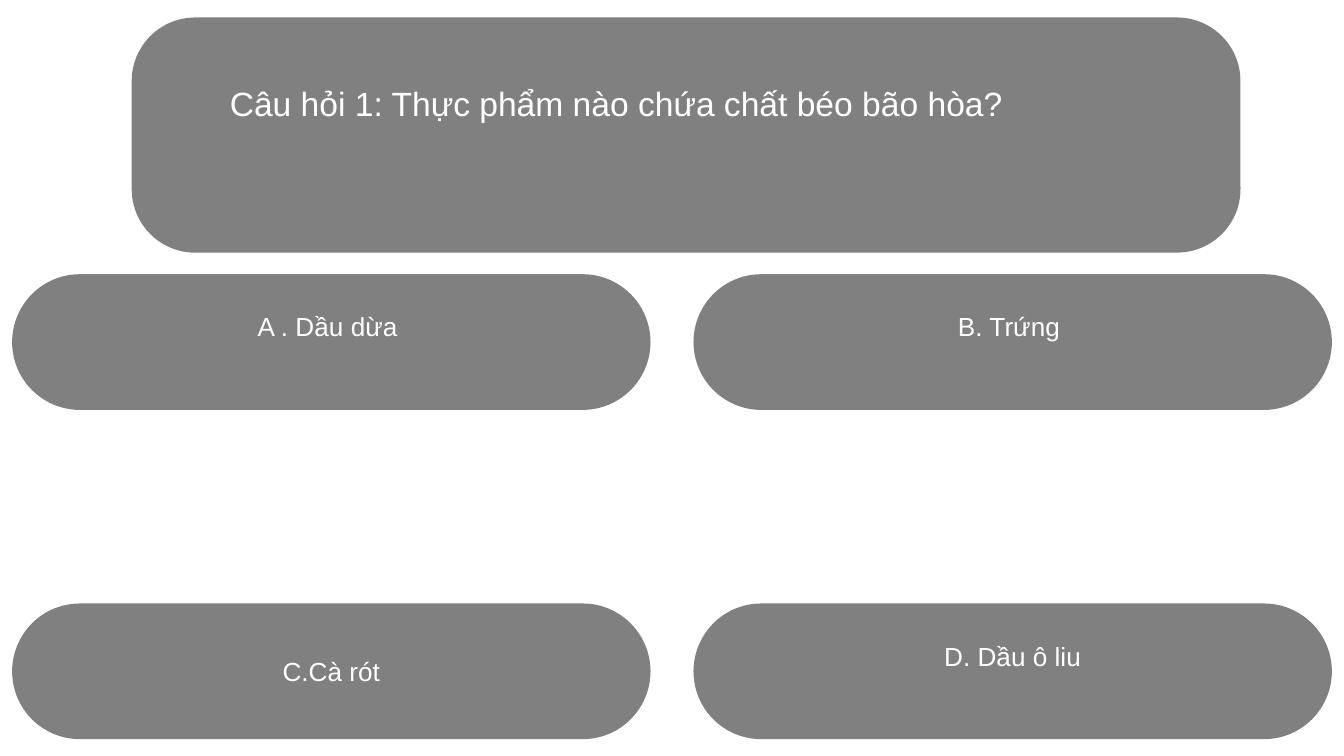
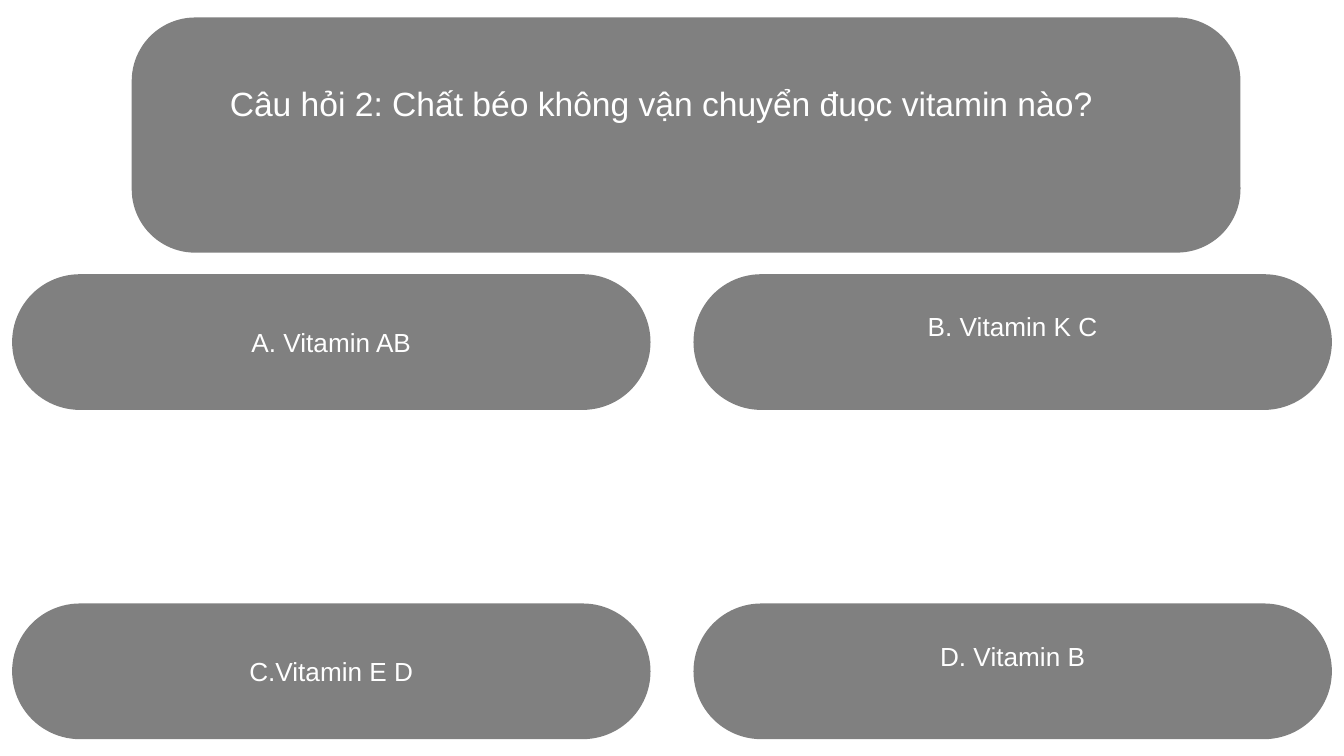
from dataclasses import dataclass

from pptx import Presentation
from pptx import util as u
from pptx.dml.color import RGBColor
from pptx.enum import shapes, text

PX = u.Inches(1) // 200


@dataclass(frozen=True)
class Theme:
    panel: RGBColor = RGBColor(0x80, 0x80, 0x80)
    ink: RGBColor = RGBColor(0xFF, 0xFF, 0xFF)
    font: str = "Arial"
    question_size: int = 18
    answer_size: int = 14


@dataclass(frozen=True)
class Box:
    left: int
    top: int
    width: int
    height: int

    def inside(self, left, top, width, height):
        return Box(self.left + left, self.top + top, width, height)

    def emu(self):
        return [length * PX for length in (self.left, self.top, self.width, self.height)]


THEME = Theme()
SLIDE = Box(0, 0, 2000, 1125)
QUESTION = SLIDE.inside(196, 26, 1650, 350)
ANSWERS = SLIDE.inside(18, 408, 1964, 692)
TITLE_ONLY = 5

QUIZ = [
    (
        "Câu hỏi 1: Thực phẩm nào chứa chất béo bão hòa?",
        [("A . Dầu dừa ", True), ("B. Trứng ", True), ("C.Cà rót", False), ("D. Dầu ô liu", True)],
    ),
    (
        "Câu hỏi 2: Chất béo không vận chuyển đuọc vitamin nào?",
        [("A. Vitamin AB", False), ("B. Vitamin K C", True), ("C.Vitamin E D", False), ("D. Vitamin B", True)],
    ),
]


def write(shape, words, *, size, align, anchor, bottom=10):
    frame = shape.text_frame
    frame.word_wrap = True
    frame.auto_size = text.MSO_AUTO_SIZE.NONE
    frame.vertical_anchor = anchor
    frame.margin_left = frame.margin_right = 20 * PX
    frame.margin_top, frame.margin_bottom = 10 * PX, bottom * PX
    paragraph = frame.paragraphs[0]
    paragraph.alignment = align
    run = paragraph.add_run()
    run.text = words
    run.font.name = THEME.font
    run.font.size = u.Pt(size)
    run.font.color.rgb = THEME.ink


def paint(shape):
    shape.fill.solid()
    shape.fill.fore_color.rgb = THEME.panel
    shape.line.fill.background()


def add_panel(slide, box, rounding):
    shape = slide.shapes.add_shape(shapes.MSO_SHAPE.ROUNDED_RECTANGLE, *box.emu())
    shape.adjustments[0] = rounding
    shape.shadow.inherit = False
    paint(shape)
    return shape


def add_answers(slide, box, answers):
    width, height = 950, 202
    for index, (words, raised) in enumerate(answers):
        row, column = divmod(index, 2)
        left = column * (box.width - width)
        top = row * (box.height - height)
        button = add_panel(slide, box.inside(left, top, width, height), 0.5)
        write(button, words, size=THEME.answer_size, align=text.PP_ALIGN.CENTER,
              anchor=text.MSO_ANCHOR.MIDDLE, bottom=56 if raised else 10)


def add_question(slide, box, words):
    add_panel(slide, box, 0.27)
    title = slide.shapes.title
    title.left, title.top, title.width, title.height = box.inside(126, 88, 1412, 80).emu()
    paint(title)
    write(title, words, size=THEME.question_size, align=text.PP_ALIGN.LEFT,
          anchor=text.MSO_ANCHOR.TOP)
    title.element.getparent().append(title.element)


def add_quiz_slide(presentation, question, answers):
    slide = presentation.slides.add_slide(presentation.slide_layouts[TITLE_ONLY])
    add_answers(slide, ANSWERS, answers)
    add_question(slide, QUESTION, question)


def main():
    presentation = Presentation()
    presentation.slide_width = SLIDE.width * PX
    presentation.slide_height = SLIDE.height * PX
    for question, answers in QUIZ:
        add_quiz_slide(presentation, question, answers)
    presentation.save("out.pptx")


if __name__ == "__main__":
    main()
